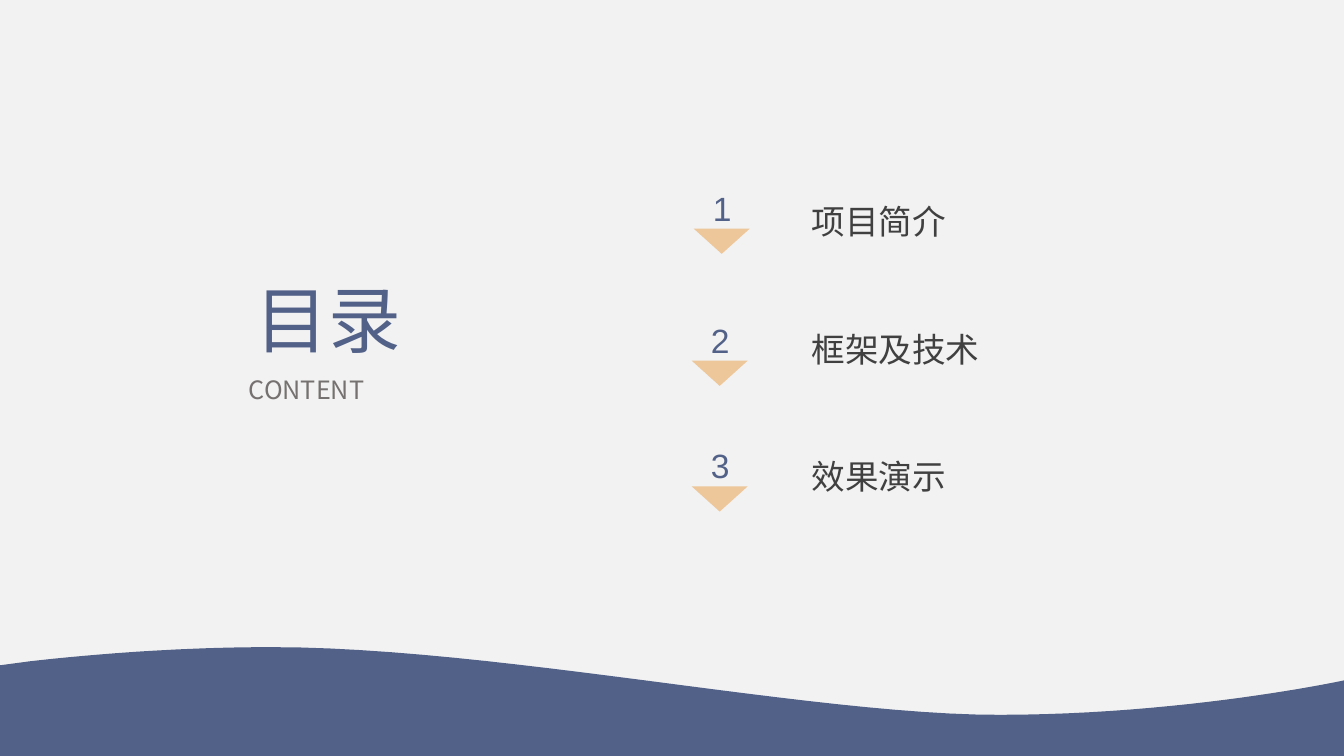
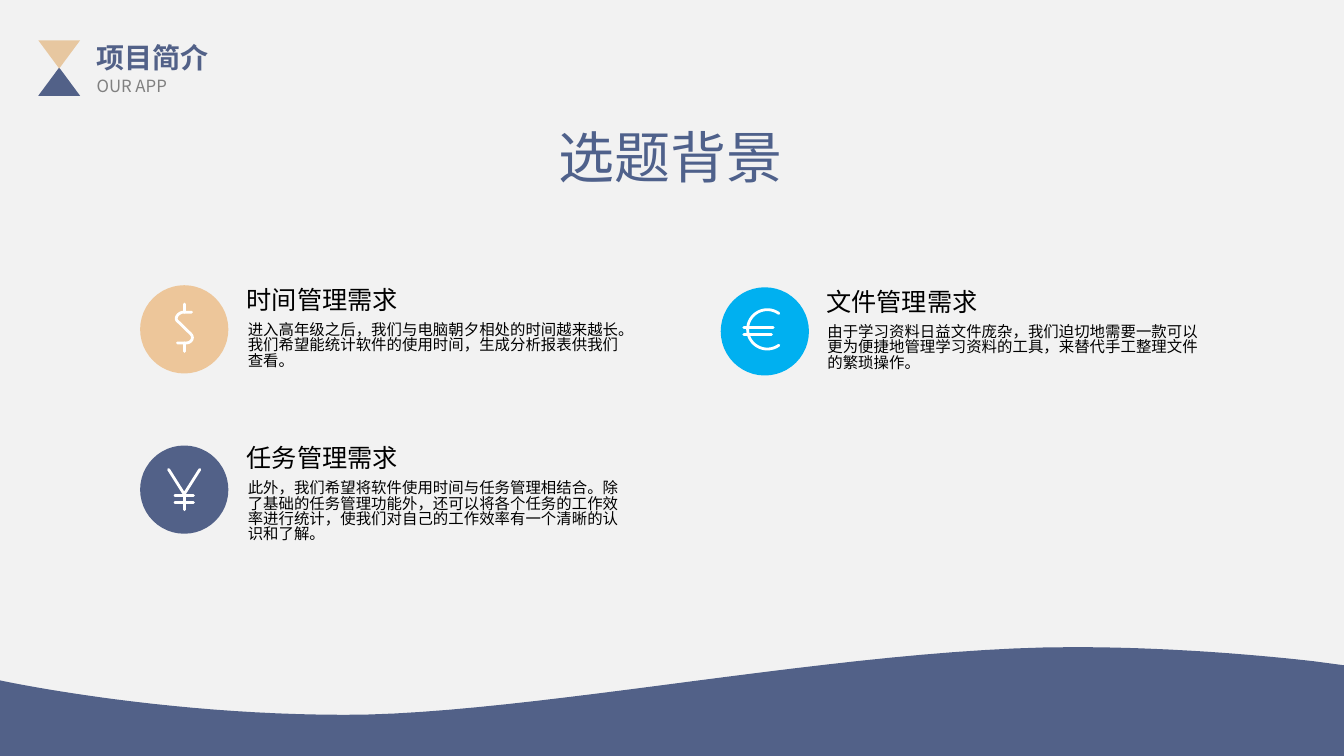
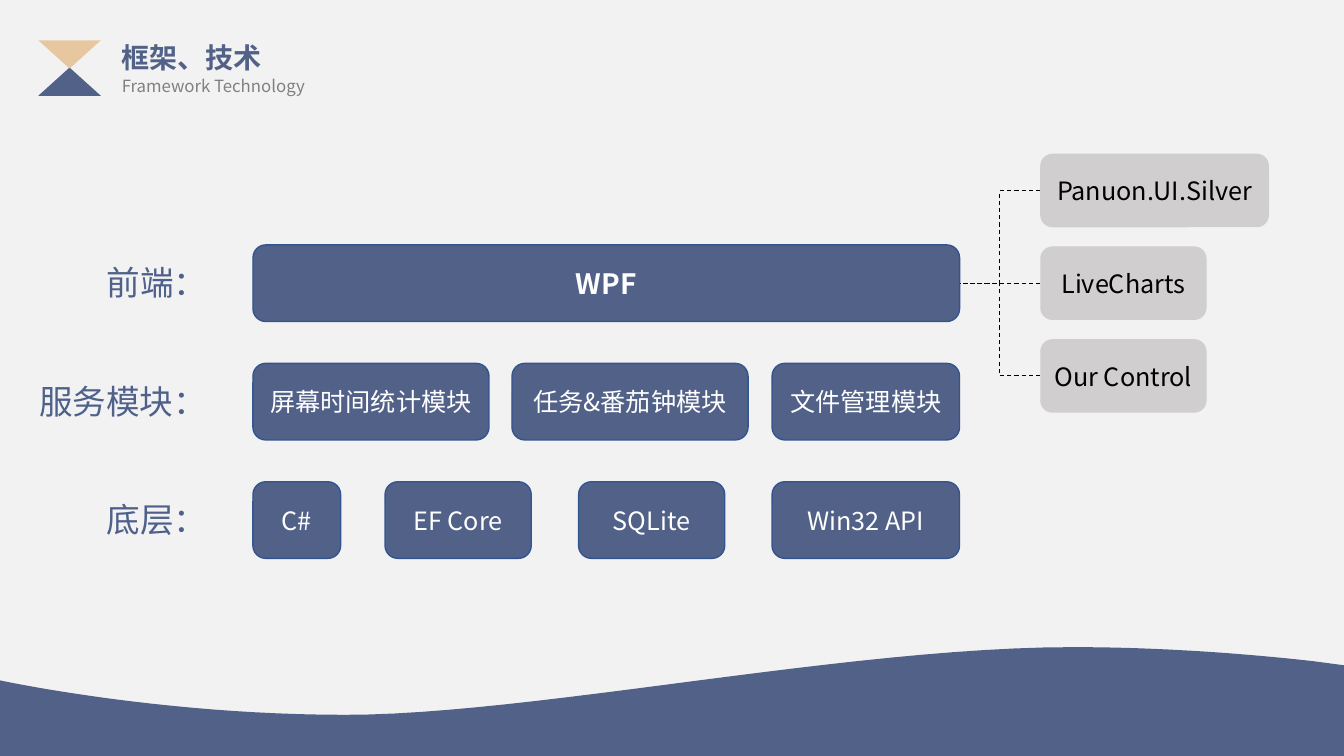
from dataclasses import dataclass
from math import cos, radians, sin
from typing import Optional

from lxml.etree import SubElement
from pptx import Presentation
from pptx.dml.color import RGBColor
from pptx.enum.dml import MSO_LINE
from pptx.enum.shapes import MSO_CONNECTOR, MSO_SHAPE
from pptx.enum.text import MSO_ANCHOR, MSO_AUTO_SIZE, PP_ALIGN
from pptx.oxml.ns import qn
from pptx.util import Emu, Pt

# Grid: 160 columns by 90 rows of square cells
COLUMNS, ROWS = 160, 90
CELL = 76200

COLORS = {
    "paper": "F2F2F2", "navy": "526188", "title": "4F618B", "edge": "325491",
    "sand": "EDC69A", "pale_sand": "E7C7A0", "sky": "00B0F0", "silver": "D0CECE",
    "dark": "404040", "gray": "808080", "warm_gray": "767171",
    "black": "000000", "white": "FFFFFF",
}
SANS, ARIAL = "Noto Sans CJK SC", "Arial"

Point = tuple[float, float]
Stroke = list[Point]


@dataclass(frozen=True)
class Area:
    left: float
    top: float
    width: float
    height: float

    def lengths(self) -> list[Emu]:
        return [grid(n) for n in (self.left, self.top, self.width, self.height)]


@dataclass(frozen=True)
class TextStyle:
    size: float
    color: str
    font: str = SANS
    bold: bool = False
    align: PP_ALIGN = PP_ALIGN.LEFT
    spacing: Optional[float] = None


@dataclass(frozen=True)
class Chapter:
    number: str
    label: str
    marker: Point
    label_top: float
    label_height: float
    style: TextStyle


@dataclass(frozen=True)
class Need:
    title: str
    body: str
    color: str
    circle: Point
    text: Point
    body_width: float
    body_height: float
    symbol: list[Stroke]


@dataclass(frozen=True)
class Block:
    text: str
    left: float
    width: float


@dataclass(frozen=True)
class Layer:
    label: str
    label_width: float
    blocks: list[Block]
    style: TextStyle


# Geometry
def grid(cells: float) -> Emu:
    return Emu(round(cells * CELL))


def curve(a: Point, b: Point, c: Point, d: Point, steps: int = 24) -> Stroke:
    points = []
    for step in range(steps + 1):
        t = step / steps
        weights = ((1 - t) ** 3, 3 * t * (1 - t) ** 2, 3 * t * t * (1 - t), t ** 3)
        points.append(tuple(sum(w * p[axis] for w, p in zip(weights, (a, b, c, d)))
                            for axis in (0, 1)))
    return points


def arc(center: Point, radius: float, start: int, end: int) -> Stroke:
    return [(center[0] + radius * cos(radians(angle)), center[1] + radius * sin(radians(angle)))
            for angle in range(start, end + 1, 6)]


# Drawing tools
def color(name: str) -> RGBColor:
    return RGBColor.from_string(COLORS[name])


def paint(shape, fill: Optional[str], line: Optional[str] = None, width: float = 1) -> None:
    shape.shadow.inherit = False
    if fill:
        shape.fill.solid()
        shape.fill.fore_color.rgb = color(fill)
    else:
        shape.fill.background()
    if line:
        shape.line.color.rgb = color(line)
        shape.line.width = Pt(width)
    else:
        shape.line.fill.background()


def write(frame, text: str, style: TextStyle) -> None:
    para = frame.paragraphs[0]
    para.alignment = style.align
    if style.spacing:
        para.line_spacing = style.spacing
    span = para.add_run()
    span.text = text
    span.font.name = style.font
    span.font.size = Pt(style.size)
    span.font.bold = style.bold
    span.font.color.rgb = color(style.color)
    SubElement(span.font._element, qn("a:ea"), typeface=SANS)


def add_text(page, area: Area, text: str, style: TextStyle, wrap: bool = True,
             anchor: MSO_ANCHOR = MSO_ANCHOR.TOP, inset: bool = True) -> None:
    frame = page.shapes.add_textbox(*area.lengths()).text_frame
    frame.word_wrap = wrap
    frame.auto_size = MSO_AUTO_SIZE.SHAPE_TO_FIT_TEXT
    frame.vertical_anchor = anchor
    if not inset:
        frame.margin_left = frame.margin_right = frame.margin_top = frame.margin_bottom = 0
    write(frame, text, style)


def add_shape(page, kind: MSO_SHAPE, area: Area, fill: str, line: Optional[str] = None):
    shape = page.shapes.add_shape(kind, *area.lengths())
    paint(shape, fill, line)
    return shape


def add_block(page, area: Area, text: str, style: TextStyle, fill: str,
              line: Optional[str] = None):
    box = add_shape(page, MSO_SHAPE.ROUNDED_RECTANGLE, area, fill, line)
    box.text_frame.word_wrap = True
    box.text_frame.vertical_anchor = MSO_ANCHOR.MIDDLE
    write(box.text_frame, text, style)
    return box


def add_outline(page, strokes: list[Stroke], closed: bool):
    scaled = [[(grid(x), grid(y)) for x, y in stroke] for stroke in strokes]
    builder = page.shapes.build_freeform(*scaled[0][0], scale=1.0)
    for index, stroke in enumerate(scaled):
        if index:
            builder.move_to(*stroke[0])
        builder.add_line_segments(stroke[1:], close=closed)
    return builder.convert_to_shape()


def add_symbol(page, strokes: list[Stroke], center: Point) -> None:
    moved = [[(x + center[0], y + center[1]) for x, y in stroke] for stroke in strokes]
    symbol = add_outline(page, moved, closed=False)
    paint(symbol, None, "white", 2)
    symbol.element.spPr.find(qn("a:ln")).set("cap", "rnd")


def add_link(page, start, end) -> None:
    link = page.shapes.add_connector(MSO_CONNECTOR.ELBOW, 0, 0, 0, 0)
    link.begin_connect(start, 1)
    link.end_connect(end, 3)
    link.line.color.rgb = color("black")
    link.line.width = Pt(0.75)
    link.line.dash_style = MSO_LINE.DASH
    SubElement(link.element.spPr, qn("a:effectLst"))


# Parts shared by the slides
def add_page(deck):
    page = deck.slides.add_slide(deck.slide_layouts[6])
    page.background.fill.solid()
    page.background.fill.fore_color.rgb = color("paper")
    return page


def add_wave(page, mirrored: bool = True) -> None:
    crest, trough = (32.28, 77.04), (118.9, 85.1)
    outline = [
        *curve(crest, (59.2, 77.04), (96.6, 85.1), trough),
        *curve(trough, (141.1, 85.1), (COLUMNS, 81), (COLUMNS, 81)),
        (COLUMNS, ROWS), (0, ROWS), (0, 79.2),
        *curve((3.6, 78.72), (12.12, 77.76), (22.2, 77.04), crest),
    ]
    if mirrored:
        outline = [(COLUMNS - x, y) for x, y in outline]
    paint(add_outline(page, [outline], closed=True), "navy")


def add_header(page, title: str, subtitle: str, mark_width: float, text_left: float,
               subtitle_width: float) -> None:
    for top, fill, turn in ((8.04, "navy", 0), (4.8, "pale_sand", 180)):
        mark = add_shape(page, MSO_SHAPE.ISOSCELES_TRIANGLE,
                         Area(4.56, top, mark_width, 3.36), fill)
        mark.rotation = turn
    add_text(page, Area(text_left, 4.2, 22, 5.28), title,
             TextStyle(20, "navy", bold=True, align=PP_ALIGN.JUSTIFY))
    add_text(page, Area(text_left, 8.4, subtitle_width, 3.6), subtitle,
             TextStyle(12, "gray", align=PP_ALIGN.JUSTIFY))


# Slide 1: contents
LABEL = TextStyle(24, "dark", ARIAL)
CHAPTERS = [
    Chapter("1", "项目简介", (82.44, 22.32), 22.44, 6.24, TextStyle(24, "dark", spacing=1.3)),
    Chapter("2", "框架及技术", (82.2, 38.04), 39.12, 4.8, LABEL),
    Chapter("3", "效果演示", (82.2, 53), 54.24, 4.8, LABEL),
]


def add_chapter(page, chapter: Chapter) -> None:
    left, top = chapter.marker
    add_text(page, Area(96.6, chapter.label_top, 38.16, chapter.label_height), chapter.label,
             chapter.style, anchor=MSO_ANCHOR.MIDDLE, inset=False)
    x, y = left + 0.15, top + 4.9
    arrow = add_outline(page, [[(x, y), (x + 6.66, y), (x + 3.33, y + 3)]], closed=True)
    paint(arrow, "sand")
    add_text(page, Area(left, top, 7.08, 4.8), chapter.number,
             TextStyle(24, "navy", ARIAL, align=PP_ALIGN.CENTER),
             anchor=MSO_ANCHOR.BOTTOM, inset=False)


def build_contents(deck) -> None:
    page = add_page(deck)
    add_wave(page, mirrored=False)
    add_text(page, Area(29.28, 32.16, 23.04, 11.64), "目录",
             TextStyle(52, "navy", align=PP_ALIGN.JUSTIFY))
    add_text(page, Area(28.44, 43.92, 25.44, 4.8), "CONTENT",
             TextStyle(18, "warm_gray", align=PP_ALIGN.JUSTIFY))
    for chapter in CHAPTERS:
        add_chapter(page, chapter)


# Slide 2: background of the topic; symbols are drawn around (0, 0)
DOLLAR = [
    [(0, -3), (0, -2.04)],
    [(0.88, -2.04), *curve((-0.1, -2.04), (-0.6, -2.04), (-1.4, -1.3), (-0.6, -0.8)),
     *curve((0.7, 0.48), (1.3, 1), (0.8, 1.62), (0.28, 1.62)), (-0.8, 1.62)],
    [(0, 1.62), (0, 2.64)],
]
EURO = [
    arc((0.3, -0.24), 2.34, 54, 306),
    [(-2.5, -0.48), (1, -0.48)],
    [(-2.5, 0.36), (0.8, 0.36)],
]
YEN = [
    [(-1.86, -2.4), (0, 0.54), (1.86, -2.4)],
    [(0, 0.54), (0, 2.4)],
    [(-1.1, 0.66), (1.1, 0.66)],
    [(-1.1, 1.56), (1.1, 1.56)],
]
NEEDS = [
    Need("时间管理需求",
         "进入高年级之后，我们与电脑朝夕相处的时间越来越长。我们希望能统计软件的使用时间，"
         "生成分析报表供我们查看。",
         "sand", (16.68, 33.96), (28.2, 33.24), 48.24, 7.92, DOLLAR),
    Need("任务管理需求",
         "此外，我们希望将软件使用时间与任务管理相结合。除了基础的任务管理功能外，"
         "还可以将各个任务的工作效率进行统计，使我们对自己的工作效率有一个清晰的认识和了解。",
         "navy", (16.68, 53.04), (28.2, 52.08), 47.04, 10.08, YEN),
    Need("文件管理需求",
         "由于学习资料日益文件庞杂，我们迫切地需要一款可以更为便捷地管理学习资料的工具，"
         "来替代手工整理文件的繁琐操作。",
         "sky", (85.8, 34.2), (97.2, 33.48), 48.24, 7.92, EURO),
]
DIAMETER = 10.5


def add_need(page, need: Need) -> None:
    left, top = need.circle
    add_shape(page, MSO_SHAPE.OVAL, Area(left, top, DIAMETER, DIAMETER), need.color)
    add_symbol(page, need.symbol, (left + DIAMETER / 2, top + DIAMETER / 2))
    x, y = need.text
    add_text(page, Area(x, y, 25.68, 5.64), need.title,
             TextStyle(18, "black", align=PP_ALIGN.JUSTIFY))
    add_text(page, Area(x + 0.12, y + 4.65, need.body_width, need.body_height), need.body,
             TextStyle(11, "black", spacing=0.83))


def build_background(deck) -> None:
    page = add_page(deck)
    add_text(page, Area(65.28, 14.04, 29.4, 9.24), "选题背景", TextStyle(40, "title"), wrap=False)
    add_header(page, "项目简介", "OUR APP", 4.98, 10.32, 16.08)
    add_wave(page)
    for need in NEEDS:
        add_need(page, need)


# Slide 3: framework and technology
BLOCK_TEXT = TextStyle(18, "white", align=PP_ALIGN.CENTER)
LIBRARY_TEXT = TextStyle(18, "black", align=PP_ALIGN.CENTER)
LAYERS = [
    Layer("前端：", 14.52, [Block("WPF", 30.12, 84.12)],
          TextStyle(20, "white", bold=True, align=PP_ALIGN.CENTER)),
    Layer("服务模块：", 22.56, [
        Block("屏幕时间统计模块", 30.12, 28.1),
        Block("任务&番茄钟模块", 60.96, 28.1),
        Block("文件管理模块", 91.92, 22.32),
    ], BLOCK_TEXT),
    Layer("底层：", 14.52, [
        Block("C#", 30.12, 10.44),
        Block("EF Core", 45.84, 17.4),
        Block("SQLite", 68.88, 17.4),
        Block("Win32 API", 91.92, 22.32),
    ], BLOCK_TEXT),
]
LIBRARIES = [
    Block("Panuon.UI.Silver", 123.84, 27.24),
    Block("LiveCharts", 123.84, 19.8),
    Block("Our Control", 123.84, 19.8),
]
LAYER_TOP, LAYER_PITCH, LAYER_HEIGHT = 29.16, 14.1, 9.12
LIBRARY_PITCH, LIBRARY_HEIGHT = 11.04, 8.76
LABEL_RIGHT = 26.04


def add_layer(page, layer: Layer, top: float) -> list:
    add_text(page, Area(LABEL_RIGHT - layer.label_width, top + 1.44, layer.label_width, 6),
             layer.label, TextStyle(24, "title"), wrap=False)
    return [add_block(page, Area(block.left, top, block.width, LAYER_HEIGHT), block.text,
                      layer.style, "navy", "edge") for block in layer.blocks]


def build_framework(deck) -> None:
    page = add_page(deck)
    add_header(page, "框架、技术", "Framework Technology", 7.44, 13.32, 33.6)
    add_wave(page)
    rows = [add_layer(page, layer, LAYER_TOP + index * LAYER_PITCH)
            for index, layer in enumerate(LAYERS)]
    front_end = rows[0][0]
    middle_top = LAYER_TOP + (LAYER_HEIGHT - LIBRARY_HEIGHT) / 2
    for index, library in enumerate(LIBRARIES):
        top = middle_top + (index - 1) * LIBRARY_PITCH
        box = add_block(page, Area(library.left, top, library.width, LIBRARY_HEIGHT),
                        library.text, LIBRARY_TEXT, "silver")
        add_link(page, box, front_end)


def main() -> None:
    deck = Presentation()
    deck.slide_width, deck.slide_height = grid(COLUMNS), grid(ROWS)
    build_contents(deck)
    build_background(deck)
    build_framework(deck)
    deck.save("out.pptx")


main()
